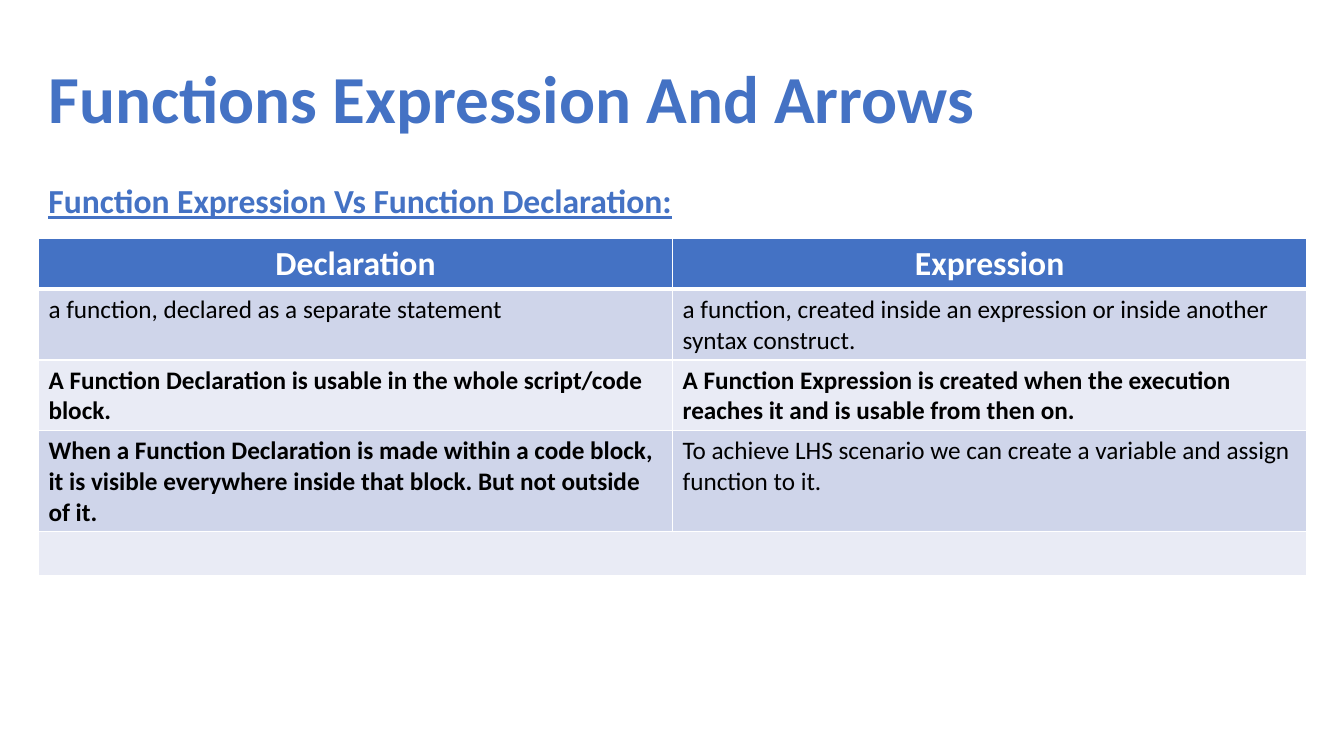
from lxml import etree
from pptx import Presentation
from pptx.dml.color import RGBColor
from pptx.enum.text import MSO_ANCHOR, MSO_AUTO_SIZE, PP_ALIGN
from pptx.oxml.ns import qn
from pptx.util import Cm, Pt

LEFT, CENTER = PP_ALIGN.LEFT, PP_ALIGN.CENTER
TOP, MIDDLE = MSO_ANCHOR.TOP, MSO_ANCHOR.MIDDLE
FIT_SHAPE = MSO_AUTO_SIZE.SHAPE_TO_FIT_TEXT
TITLE_ONLY = 5

BLUE, WHITE, BLACK = "4472C4", "FFFFFF", "000000"
BANDS = ("CFD5EA", "E9EBF5")

MARGIN = 0.97
COLUMN_WIDTH = 15.98
ROW_HEIGHTS = (1.27, 1.78, 1.78, 2.54, 1.11)
HEADINGS = ("Declaration", "Expression")
COMPARISONS = (
    (("a function, declared as a separate statement", False),
     ("a function, created inside an expression or inside another syntax construct.", False)),
    (("A Function Declaration is usable in the whole script/code block.", True),
     ("A Function Expression is created when the execution reaches it and is usable from then on.", True)),
    (("When a Function Declaration is made within a code block, it is visible everywhere "
      "inside that block. But not outside of it.", True),
     ("To achieve LHS scenario we can create a variable and assign function to it.", False)),
    (("", False), ("", False)),
)


def colour(value):
    return RGBColor.from_string(value)


class SlideBuilder:
    font = "Calibri"

    def __init__(self, page):
        self.page = page

    def set_text(self, frame, text, size, ink, bold=True, underline=False, align=LEFT):
        frame.text = text
        para = frame.paragraphs[0]
        para.alignment = align
        for span in para.runs:
            span.font.name = self.font
            span.font.size = Pt(size)
            span.font.bold = bold
            span.font.underline = underline
            span.font.color.rgb = colour(ink)

    def heading(self, box, place, text, size, underline=False):
        box.left, box.top, box.width, box.height = map(Cm, place)
        frame = box.text_frame
        frame.word_wrap = False
        frame.auto_size = FIT_SHAPE
        frame.vertical_anchor = TOP
        self.set_text(frame, text, size, BLUE, underline=underline)

    def title(self, place, text, size):
        self.heading(self.page.shapes.title, place, text, size)

    def subtitle(self, place, text, size):
        box = self.page.shapes.add_textbox(*map(Cm, place))
        self.heading(box, place, text, size, underline=True)

    def borders(self, cell, top, bottom):
        properties = cell._tc.get_or_add_tcPr()
        for side, points in (("L", 1), ("R", 1), ("T", top), ("B", bottom)):
            line = etree.SubElement(properties, qn(f"a:ln{side}"), w=str(Pt(points)))
            fill = etree.SubElement(line, qn("a:solidFill"))
            etree.SubElement(fill, qn("a:srgbClr"), val=WHITE)

    def cell(self, cell, fill, top=1, bottom=1, anchor=TOP, **text_style):
        self.borders(cell, top, bottom)
        cell.fill.solid()
        cell.fill.fore_color.rgb = colour(fill)
        cell.vertical_anchor = anchor
        self.set_text(cell.text_frame, **text_style)

    def table(self, left, top, headings, rows):
        frame = self.page.shapes.add_table(
            len(ROW_HEIGHTS), len(headings), Cm(left), Cm(top),
            Cm(COLUMN_WIDTH * len(headings)), Cm(sum(ROW_HEIGHTS)))
        table = frame.table
        for column in table.columns:
            column.width = Cm(COLUMN_WIDTH)
        for row, height in zip(table.rows, ROW_HEIGHTS):
            row.height = Cm(height)
        for column, text in enumerate(headings):
            self.cell(table.cell(0, column), BLUE, bottom=3, anchor=MIDDLE,
                      text=text, size=24, ink=WHITE, align=CENTER)
        for row, entries in enumerate(rows, start=1):
            for column, (text, bold) in enumerate(entries):
                self.cell(table.cell(row, column), BANDS[(row - 1) % 2],
                          top=3 if row == 1 else 1,
                          text=text, size=18, ink=BLACK, bold=bold)
        last = len(rows)
        table.cell(last, 0).merge(table.cell(last, len(headings) - 1))


def main():
    deck = Presentation()
    deck.slide_width, deck.slide_height = Cm(33.87), Cm(19.05)
    page = deck.slides.add_slide(deck.slide_layouts[TITLE_ONLY])
    builder = SlideBuilder(page)
    builder.title((MARGIN, 1.3, 24.1, 2.31), "Functions Expression And Arrows", 48)
    builder.subtitle((MARGIN, 4.42, 16.41, 1.27),
                     "Function Expression Vs Function Declaration:", 24)
    builder.table(MARGIN, 6.02, HEADINGS, COMPARISONS)
    deck.save("out.pptx")


if __name__ == "__main__":
    main()
